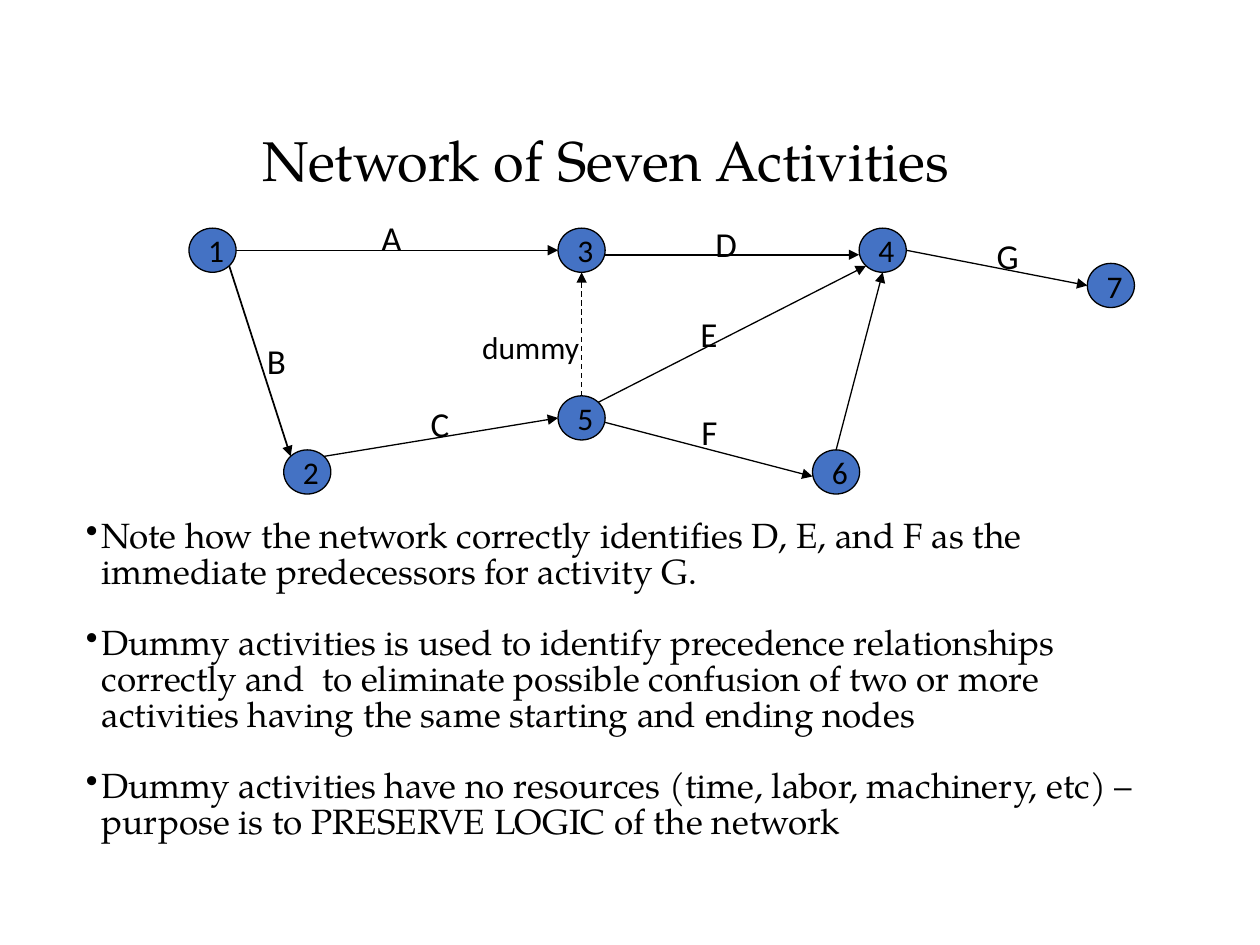
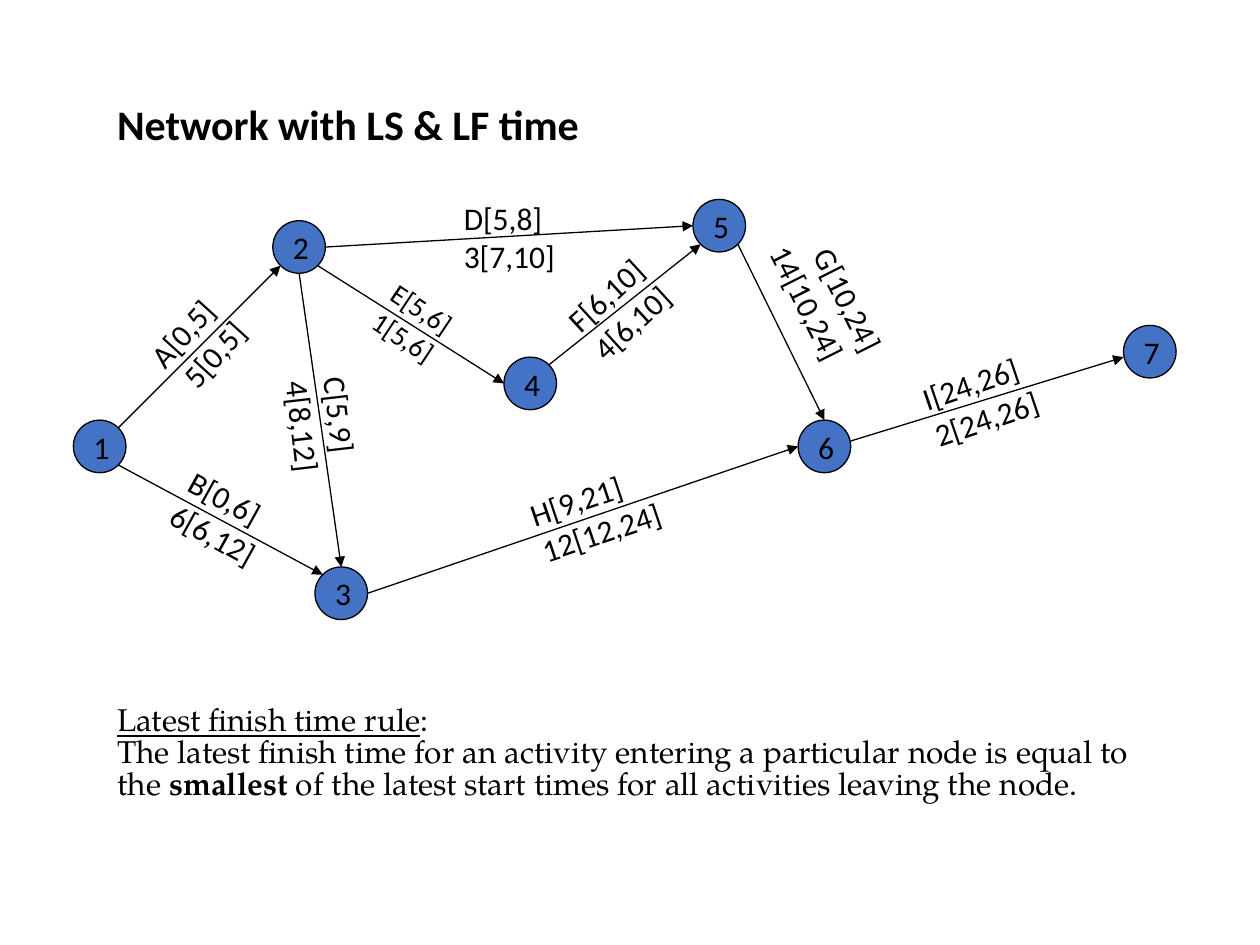
from dataclasses import dataclass
from math import sqrt

from lxml.etree import SubElement
from pptx import Presentation
from pptx.dml.color import RGBColor
from pptx.enum.dml import MSO_LINE
from pptx.enum.shapes import MSO_CONNECTOR, MSO_SHAPE
from pptx.enum.text import MSO_ANCHOR
from pptx.oxml.ns import qn
from pptx.slide import Slide
from pptx.text.text import TextFrame, _Paragraph
from pptx.util import Cm, Pt

BLACK = RGBColor(0x00, 0x00, 0x00)
BLUE = RGBColor(0x44, 0x72, 0xC4)
SANS = "Calibri"
SERIF = "TeX Gyre Pagella"

# Points on the rim of a node, in half widths and half heights
DIAG = 1 / sqrt(2)
SITES = {
    "n": (0, -1), "e": (1, 0), "s": (0, 1), "w": (-1, 0),
    "ne": (DIAG, -DIAG), "se": (DIAG, DIAG),
    "sw": (-DIAG, DIAG), "nw": (-DIAG, -DIAG),
}


@dataclass
class Node:
    left: float
    top: float
    width: float
    height: float

    def site(self, name: str, drop: float) -> tuple[Cm, Cm]:
        """Point on the rim, moved down by drop."""
        across, down = SITES[name]
        return (Cm(self.left + self.width / 2 * (1 + across)),
                Cm(self.top + self.height / 2 * (1 + down) + drop))


@dataclass
class Link:
    start: int
    leave: str
    end: int
    enter: str
    drops: tuple[float, float] = (0, 0)
    weight: float = 0.75
    dashed: bool = False


@dataclass
class Label:
    lines: tuple[str, ...]
    left: float
    top: float
    width: float
    height: float = 1.78
    turn: float = 0
    size: int = 18
    indents: tuple[float, ...] = (0, 0)


def style(para: _Paragraph, size: float, face: str = SANS) -> None:
    para.font.size = Pt(size)
    para.font.name = face
    para.font.color.rgb = BLACK


def add_box(slide: Slide, left: float, top: float, width: float,
            height: float, turn: float = 0) -> TextFrame:
    box = slide.shapes.add_textbox(Cm(left), Cm(top), Cm(width), Cm(height))
    box.rotation = turn
    box.text_frame.word_wrap = True
    return box.text_frame


def add_paras(frame: TextFrame, count: int) -> list[_Paragraph]:
    return [frame.paragraphs[0]] + [frame.add_paragraph()
                                    for _ in range(count - 1)]


def set_indent(para: _Paragraph, left: float, first: float = 0) -> None:
    props = para._p.get_or_add_pPr()
    props.set("marL", str(Cm(left)))
    props.set("indent", str(Cm(first)))


def add_bullet(para: _Paragraph) -> None:
    set_indent(para, 0.32, -0.32)
    props = para._p.get_or_add_pPr()
    tint = SubElement(props, qn("a:buClr"))
    SubElement(tint, qn("a:srgbClr")).set("val", str(BLACK))
    SubElement(props, qn("a:buChar")).set("char", "•")


def draw_node(slide: Slide, number: int, node: Node) -> None:
    oval = slide.shapes.add_shape(MSO_SHAPE.OVAL, Cm(node.left), Cm(node.top),
                                  Cm(node.width), Cm(node.height))
    oval.shadow.inherit = False
    oval.fill.solid()
    oval.fill.fore_color.rgb = BLUE
    oval.line.color.rgb = BLACK
    oval.line.width = Pt(0.75)
    frame = oval.text_frame
    frame.word_wrap = False
    frame.vertical_anchor = MSO_ANCHOR.MIDDLE
    para = frame.paragraphs[0]
    para.text = str(number)
    para._p.get_or_add_pPr().set("algn", "l")
    style(para, 18)


def draw_link(slide: Slide, link: Link, nodes: dict[int, Node]) -> None:
    begin = nodes[link.start].site(link.leave, link.drops[0])
    end = nodes[link.end].site(link.enter, link.drops[1])
    arrow = slide.shapes.add_connector(MSO_CONNECTOR.STRAIGHT, *begin, *end)
    arrow.line.color.rgb = BLACK
    arrow.line.width = Pt(link.weight)
    if link.dashed:
        arrow.line.dash_style = MSO_LINE.DASH
    SubElement(arrow.line._get_or_add_ln(), qn("a:tailEnd")).set(
        "type", "triangle")
    SubElement(arrow._element.spPr, qn("a:effectLst"))


def draw_label(slide: Slide, label: Label) -> None:
    frame = add_box(slide, label.left, label.top, label.width, label.height,
                    label.turn)
    paras = add_paras(frame, len(label.lines))
    for para, text, indent in zip(paras, label.lines, label.indents):
        para.text = text
        if indent:
            set_indent(para, indent)
        style(para, label.size)


def draw_net(slide: Slide, nodes: dict[int, Node], links: list[Link],
             labels: list[Label]) -> None:
    for number, node in nodes.items():
        draw_node(slide, number, node)
    for link in links:
        draw_link(slide, link, nodes)
    for label in labels:
        draw_label(slide, label)


def make_nodes(spots: dict[int, tuple[float, float]], width: float,
               height: float) -> dict[int, Node]:
    return {number: Node(*spot, width, height)
            for number, spot in spots.items()}


def letter(text: str, left: float, top: float) -> Label:
    return Label((text,), left, top, 1.2, 1.12, size=20)


# Slide 1: seven activities
SEVEN = make_nodes({
    1: (3.81, 4.6), 2: (5.72, 9.07), 3: (11.25, 4.6), 4: (17.32, 4.6),
    5: (11.25, 7.98), 6: (16.38, 9.07), 7: (21.92, 5.31),
}, 0.95, 0.89)
SEVEN_LINKS = [
    Link(1, "e", 3, "w"),
    Link(1, "se", 2, "nw", weight=1),
    Link(2, "ne", 5, "w"),
    Link(3, "e", 4, "w", (0.09, 0.09), weight=1),
    Link(5, "n", 3, "s", dashed=True),
    Link(5, "ne", 4, "sw"),
    Link(5, "e", 6, "w", (0.09, 0.09)),
    Link(6, "n", 4, "s"),
    Link(4, "e", 7, "w"),
]
SEVEN_LABELS = [
    letter("A", 7.44, 4.24),
    letter("B", 5.13, 6.71),
    letter("C", 8.43, 7.98),
    letter("D", 14.17, 4.37),
    letter("E", 13.87, 6.17),
    letter("F", 13.89, 8.15),
    letter("G", 19.84, 4.6),
    Label(("dummy",), 9.47, 6.48, 2.7, 1.02),
]
NOTES = [
    "Note how the network correctly identifies D, E, and F as the immediate "
    "predecessors for activity G.",
    "Dummy activities is used to identify precedence relationships correctly "
    "and  to eliminate possible confusion of two or more activities having "
    "the same starting and ending nodes",
    "Dummy activities have no resources (time, labor, machinery, etc) – "
    "purpose is to PRESERVE LOGIC of the network",
]

# Slide 2: latest start and finish times
TIMED = make_nodes({
    1: (1.48, 8.47), 2: (5.5, 4.45), 3: (6.35, 11.43), 4: (10.16, 7.2),
    5: (13.97, 4.02), 6: (16.09, 8.47), 7: (22.65, 6.56),
}, 1.06, 1.06)
TIMED_LINKS = [
    Link(1, "ne", 2, "sw"),
    Link(1, "se", 3, "nw"),
    Link(2, "s", 3, "n"),
    Link(2, "se", 4, "w"),
    Link(2, "e", 5, "w"),
    Link(4, "ne", 5, "sw"),
    Link(5, "se", 6, "n"),
    Link(3, "e", 6, "w"),
    Link(6, "e", 7, "w", (-0.11, 0.11)),
]
TIMED_LABELS = [
    Label(("A[0,5]", "5[0,5]"), 2.87, 5.97, 2.36, turn=312.2,
          indents=(0, 0.14)),
    Label(("B[0,6]", "6[6,12]"), 3.18, 9.53, 2.54, turn=29,
          indents=(0.14, 0.14)),
    Label(("C[5,9]", "4[8,12]"), 5.23, 7.77, 2.54, turn=83.4),
    Label(("D[5,8]", "3[7,10]"), 9.1, 3.89, 2.74),
    Label(("E[5,6]", "1[5,6]"), 7.37, 5.79, 2.16, 1.63, 33.6, 16),
    Label(("F[6,10]", "4[6,10]"), 11.28, 5.28, 2.49, turn=317.5),
    Label(("G[10,24]", "14[10,24]"), 15.06, 5.16, 3.23, turn=63.3,
          indents=(0.43, 0)),
    Label(("H[9,21]", "12[12,24]"), 10.36, 9.42, 3.56, turn=341.5,
          indents=(0.14, 0.14)),
    Label(("I[24,26]", "2[24,26]"), 18.42, 7.11, 3.1, turn=341.2),
]


def draw_seven(slide: Slide) -> None:
    # Notes below the network
    frame = add_box(slide, 1.48, 10.36, 22.66, 6.99)
    for index, para in enumerate(add_paras(frame, len(NOTES))):
        para.text = NOTES[index]
        para.line_spacing = 0.85
        if index:
            para.space_before = Pt(20.5)
        add_bullet(para)
        style(para, 20, SERIF)

    # Title
    title = add_box(slide, 5.05, 2.41, 15.34, 1.63).paragraphs[0]
    title.text = "Network of Seven Activities"
    style(title, 32, SERIF)

    draw_net(slide, SEVEN, SEVEN_LINKS, SEVEN_LABELS)


def draw_timed(slide: Slide) -> None:
    # Title
    frame = add_box(slide, 2.11, 1.7, 21.59, 1.7)
    frame.vertical_anchor = MSO_ANCHOR.MIDDLE
    title = frame.paragraphs[0]
    title.text = "Network with LS & LF time"
    title.line_spacing = 0.9
    style(title, 24)
    title.font.bold = True

    draw_net(slide, TIMED, TIMED_LINKS, TIMED_LABELS)

    # Rule below the network
    head, body = add_paras(add_box(slide, 2.11, 14.1, 21.16, 2.84), 2)
    for para in (head, body):
        para.line_spacing = 0.85
        style(para, 18, SERIF)
    term = head.add_run()
    term.text = "Latest finish time rule"
    term.font.underline = True
    head.add_run().text = ":"
    body.add_run().text = ("The latest finish time for an activity entering "
                           "a particular node is equal to the ")
    stress = body.add_run()
    stress.text = "smallest"
    stress.font.bold = True
    body.add_run().text = (" of the latest start times for all activities "
                           "leaving the node.")


def main() -> None:
    deck = Presentation()
    deck.slide_width, deck.slide_height = Cm(25.4), Cm(19.05)
    blank = deck.slide_layouts[6]
    for draw in (draw_seven, draw_timed):
        draw(deck.slides.add_slide(blank))
    deck.save("out.pptx")


if __name__ == "__main__":
    main()
